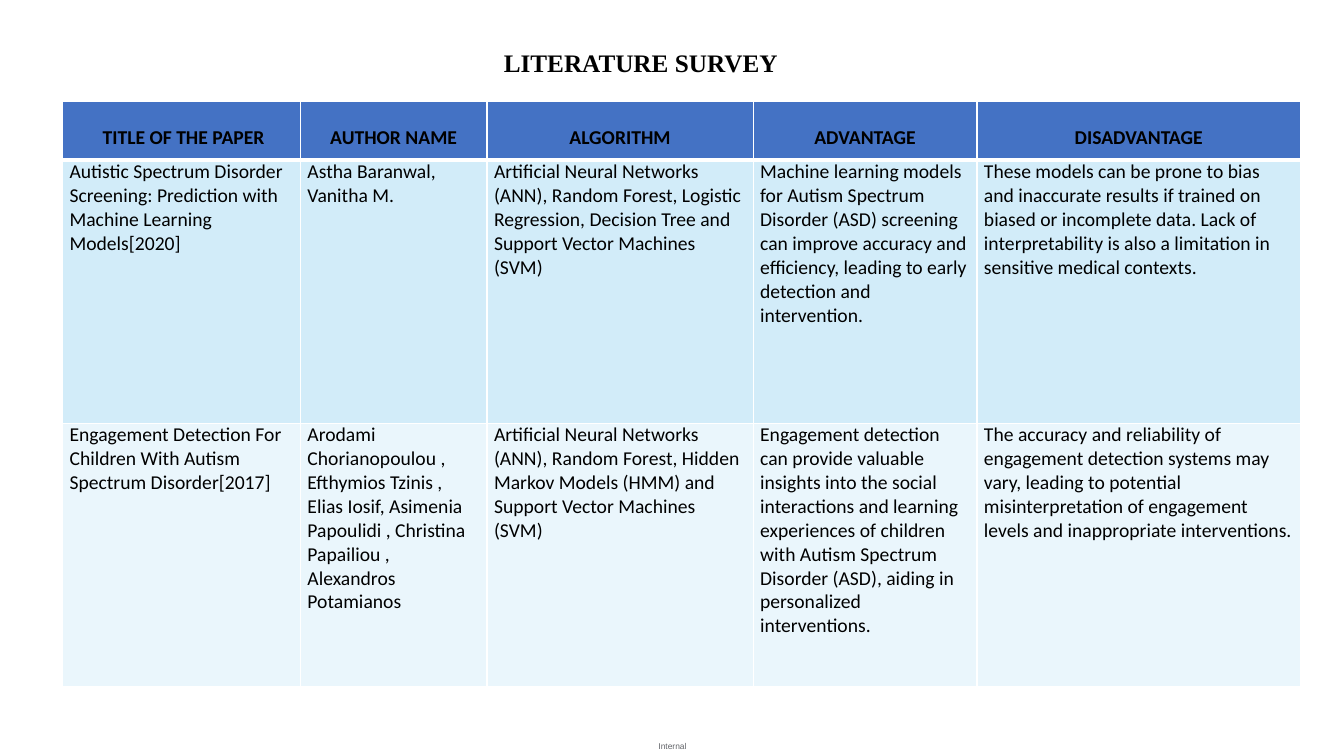
from lxml import etree
from pptx import Presentation
from pptx.dml.color import RGBColor
from pptx.enum.text import MSO_ANCHOR, MSO_AUTO_SIZE, PP_ALIGN
from pptx.oxml.ns import qn
from pptx.util import Inches, Pt

CENTER, LEFT = PP_ALIGN.CENTER, PP_ALIGN.LEFT
TOP, MIDDLE = MSO_ANCHOR.TOP, MSO_ANCHOR.MIDDLE
NO_AUTOFIT = MSO_AUTO_SIZE.NONE
TITLE_ONLY = 5

TITLE = "LITERATURE SURVEY"
FOOTER = "Internal"
SURVEY = [
    (" TITLE OF THE PAPER", "AUTHOR NAME", "ALGORITHM", "ADVANTAGE", "DISADVANTAGE"),
    (
        "Autistic Spectrum Disorder Screening: Prediction with Machine Learning Models[2020]",
        "Astha Baranwal, Vanitha M.",
        "Artificial Neural Networks (ANN), Random Forest, Logistic Regression, "
        "Decision Tree and Support Vector Machines (SVM)",
        "Machine learning models for Autism Spectrum Disorder (ASD) screening can improve "
        "accuracy and efficiency, leading to early detection and intervention.",
        "These models can be prone to bias and inaccurate results if trained on biased or "
        "incomplete data. Lack of interpretability is also a limitation in sensitive "
        "medical contexts.",
    ),
    (
        "Engagement Detection For Children With Autism Spectrum Disorder[2017]",
        "Arodami Chorianopoulou , Efthymios Tzinis , Elias Iosif, Asimenia Papoulidi , "
        "Christina Papailiou , Alexandros Potamianos",
        "Artificial Neural Networks (ANN), Random Forest, Hidden Markov Models (HMM) and "
        "Support Vector Machines (SVM)",
        "Engagement detection can provide valuable insights into the social interactions and "
        "learning experiences of children with Autism Spectrum Disorder (ASD), aiding in "
        "personalized interventions.",
        "The accuracy and reliability of engagement detection systems may vary, leading to "
        "potential misinterpretation of engagement levels and inappropriate interventions.",
    ),
]
COLUMN_WIDTHS = (2.36, 1.85, 2.64, 2.22, 3.21)
ROW_HEIGHTS = (0.58, 2.61, 2.61)
ROW_FILLS = ("4472C4", "D2ECF9", "EAF6FC")
TABLE_LEFT, TABLE_TOP = 0.62, 1.01
BLACK, WHITE, GREY = "000000", "FFFFFF", "626469"
THIN, THICK = 1, 3


def color(value):
    return RGBColor.from_string(value)


def format_text(frame, font, size, fill, bold=False, align=LEFT, spacing=1.0):
    for para in frame.paragraphs:
        para.alignment = align
        para.line_spacing = spacing
        for span in para.runs:
            span.font.name = font
            span.font.size = Pt(size)
            span.font.bold = bold
            span.font.color.rgb = color(fill)


def set_borders(cell, widths):
    """Draw white cell borders; widths maps L, R, T and B to points."""
    properties = cell._tc.get_or_add_tcPr()
    for index, side in enumerate("LRTB"):
        line = etree.Element(qn(f"a:ln{side}"), w=str(Pt(widths[side])))
        fill = etree.SubElement(line, qn("a:solidFill"))
        etree.SubElement(fill, qn("a:srgbClr"), val=WHITE)
        properties.insert(index, line)


def add_title(slide):
    title = slide.shapes.title
    title.left, title.top = Inches(3.02), Inches(0.27)
    title.width, title.height = Inches(6.67), Inches(0.51)
    frame = title.text_frame
    frame.text = TITLE
    frame.auto_size = NO_AUTOFIT
    frame.vertical_anchor = TOP
    format_text(frame, "Times New Roman", 18, BLACK, True, CENTER, 1.5)
    frame.paragraphs[0].space_after = Pt(8)


def add_survey_table(slide):
    table = slide.shapes.add_table(
        len(SURVEY), len(COLUMN_WIDTHS), Inches(TABLE_LEFT), Inches(TABLE_TOP),
        Inches(sum(COLUMN_WIDTHS)), Inches(sum(ROW_HEIGHTS))).table
    for column, width in zip(table.columns, COLUMN_WIDTHS):
        column.width = Inches(width)
    for row_index, (row, height) in enumerate(zip(table.rows, ROW_HEIGHTS)):
        row.height = Inches(height)
        header = row_index == 0
        borders = {"L": THIN, "R": THIN,
                   "T": THICK if row_index == 1 else THIN,
                   "B": THICK if header else THIN}
        for cell, text in zip(row.cells, SURVEY[row_index]):
            cell.text_frame.text = text
            cell.margin_left = cell.margin_right = Inches(0.07)
            cell.margin_top = cell.margin_bottom = 0
            cell.vertical_anchor = TOP
            cell.fill.solid()
            cell.fill.fore_color.rgb = color(ROW_FILLS[row_index])
            set_borders(cell, borders)
            format_text(cell.text_frame, "Calibri", 14, BLACK, header,
                        CENTER if header else LEFT, 2.0 if header else 1.0)


def add_footer(slide):
    box = slide.shapes.add_textbox(Inches(6.42), Inches(7.3), Inches(0.5), Inches(0.2))
    frame = box.text_frame
    frame.text = FOOTER
    frame.word_wrap = True
    frame.vertical_anchor = MIDDLE
    frame.margin_left = frame.margin_right = frame.margin_top = frame.margin_bottom = 0
    format_text(frame, "Arial", 6, GREY, align=CENTER)


def main():
    deck = Presentation()
    deck.slide_width, deck.slide_height = Inches(13.33), Inches(7.5)
    slide = deck.slides.add_slide(deck.slide_layouts[TITLE_ONLY])
    add_footer(slide)
    add_survey_table(slide)
    add_title(slide)
    deck.save("out.pptx")


if __name__ == "__main__":
    main()
